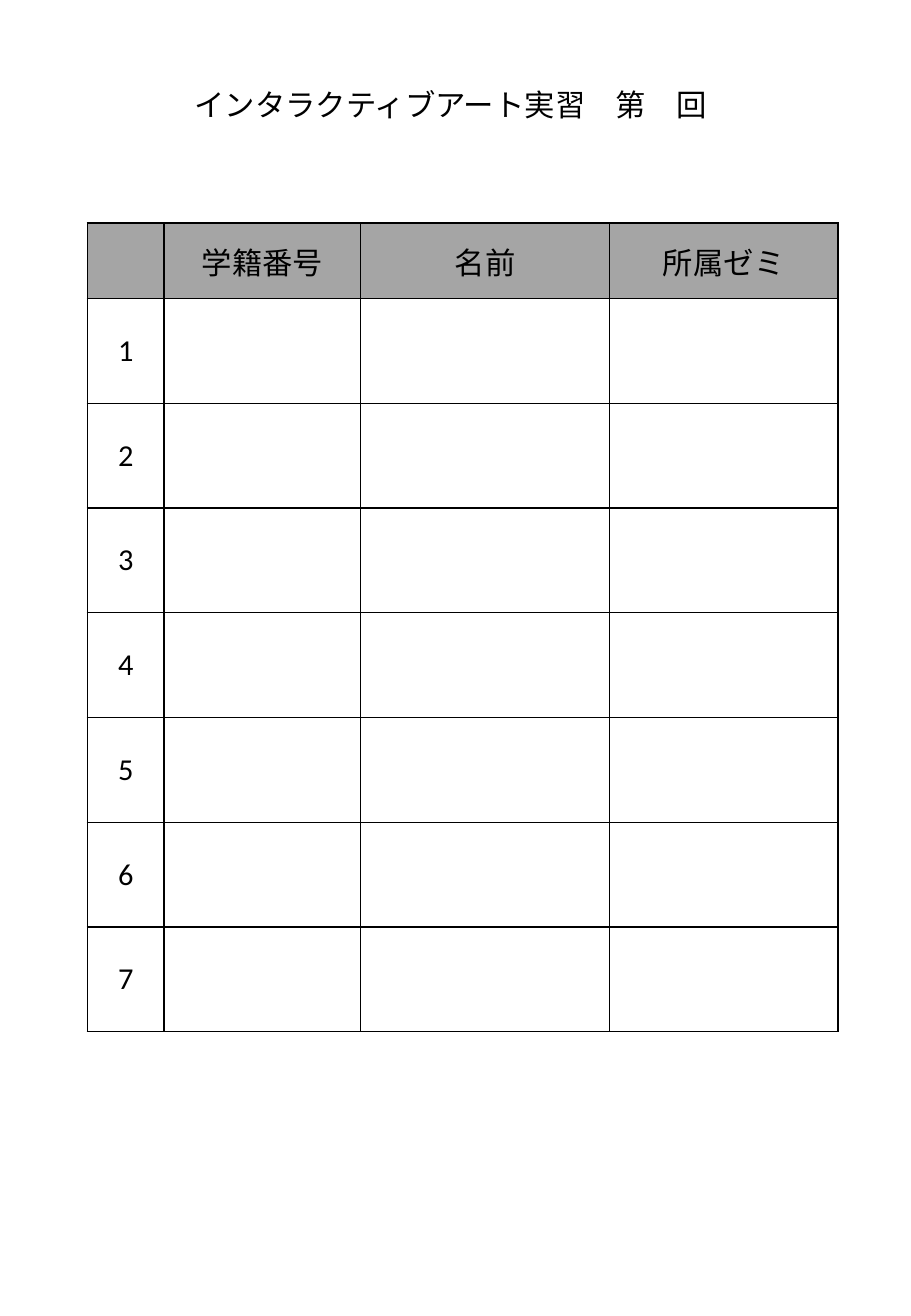
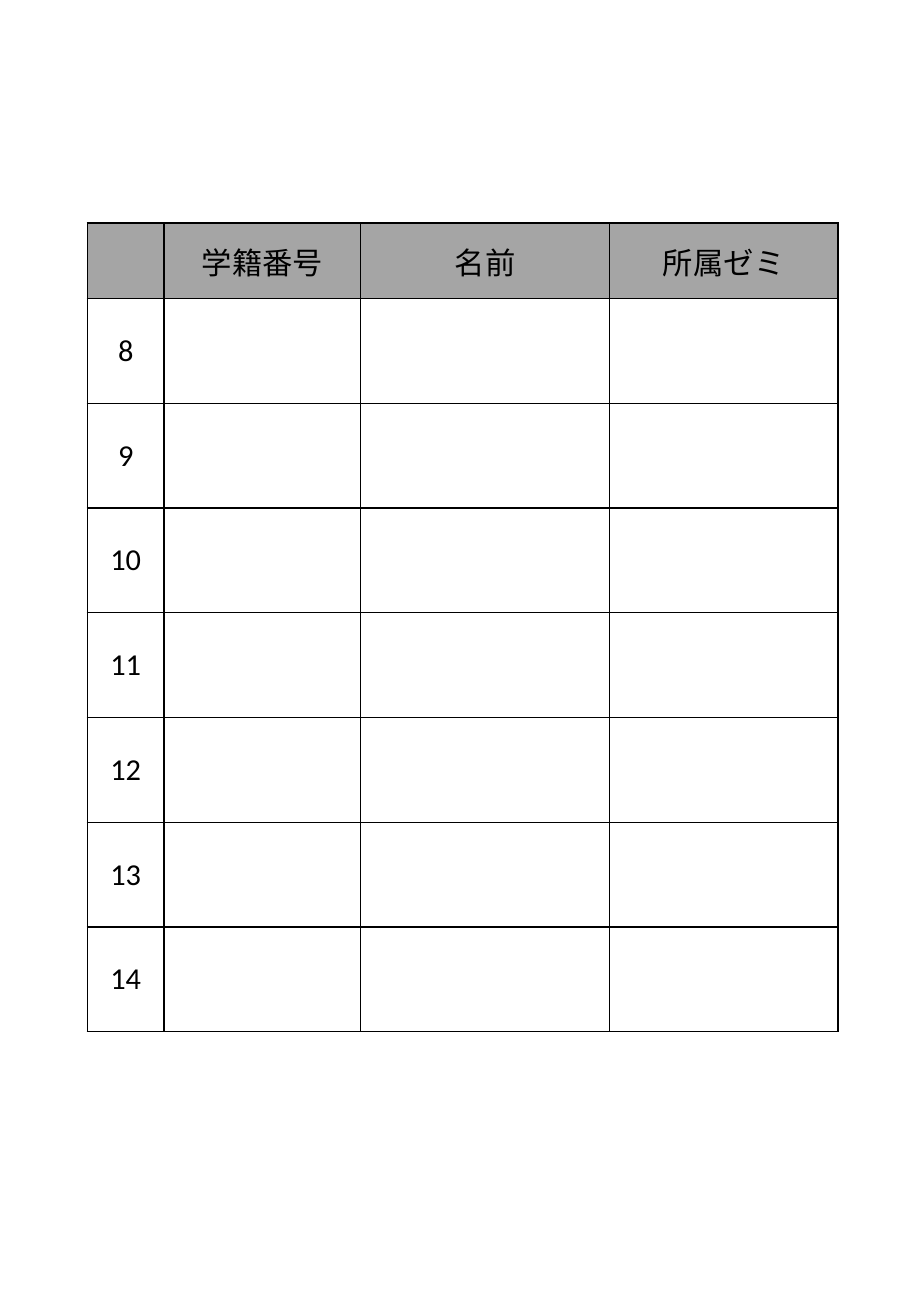
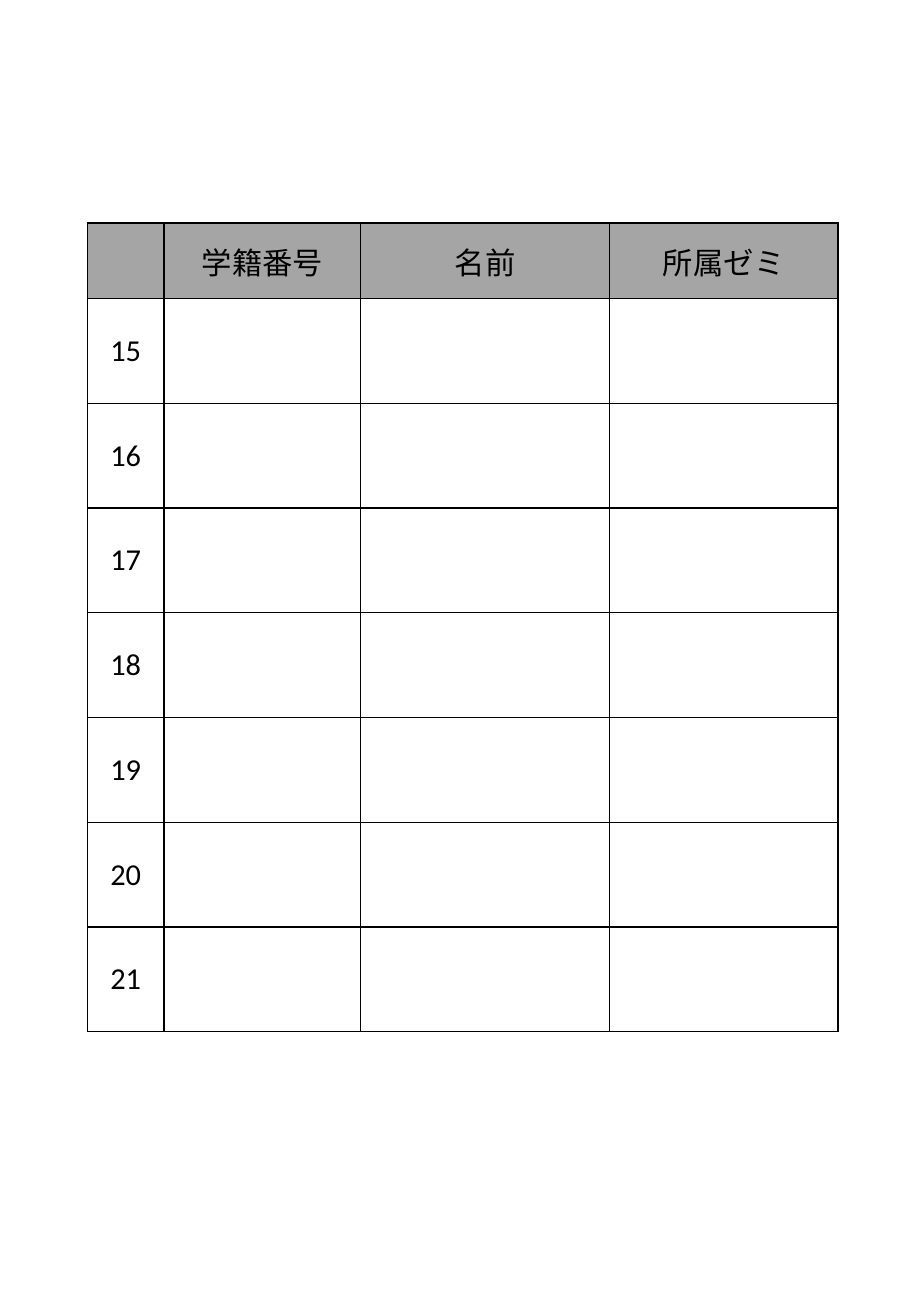
from lxml.etree import SubElement
from pptx import Presentation
from pptx.dml.color import RGBColor
from pptx.enum.text import MSO_ANCHOR as Anchor, MSO_AUTO_SIZE as AutoSize, PP_ALIGN as Align
from pptx.oxml.ns import qn
from pptx.util import Pt

BLACK = RGBColor(0x00, 0x00, 0x00)
WHITE = RGBColor(0xFF, 0xFF, 0xFF)
HEADER_GRAY = RGBColor(0xA5, 0xA5, 0xA5)
FONT = "Calibri"
TEXT_SIZE = Pt(18)
BORDER_WIDTH = Pt(1)

HEADINGS = ["", "学籍番号", "名前", "所属ゼミ"]
COLUMN_WIDTHS = [45.5, 116.5, 147.5, 135.5]
HEADER_HEIGHT = 44.7
ENTRY_HEIGHT = 62.1
ENTRIES_PER_PAGE = 7
PAGES = 3


def add_text(paragraph, text, align):
    paragraph.alignment = align
    run = paragraph.add_run()
    run.text = text
    run.font.name = FONT
    run.font.size = TEXT_SIZE
    run.font.color.rgb = BLACK


def style_cell(cell, fill_color):
    properties = cell._tc.get_or_add_tcPr()
    for side in ("a:lnL", "a:lnR", "a:lnT", "a:lnB"):
        border = SubElement(properties, qn(side), w=str(BORDER_WIDTH))
        SubElement(SubElement(border, qn("a:solidFill")), qn("a:srgbClr"), val=str(BLACK))
    cell.fill.solid()
    cell.fill.fore_color.rgb = fill_color
    cell.vertical_anchor = Anchor.MIDDLE


prs = Presentation()
prs.slide_width, prs.slide_height = Pt(540), Pt(780)
title_only, blank = prs.slide_layouts[5], prs.slide_layouts[6]

for page in range(PAGES):
    slide = prs.slides.add_slide(blank if page else title_only)
    first = page * ENTRIES_PER_PAGE + 1
    rows = [HEADINGS] + [[str(number), "", "", ""] for number in range(first, first + ENTRIES_PER_PAGE)]
    heights = [HEADER_HEIGHT] + [ENTRY_HEIGHT] * ENTRIES_PER_PAGE

    roster = slide.shapes.add_table(
        len(rows), len(HEADINGS), Pt(51.8), Pt(132.3), Pt(sum(COLUMN_WIDTHS)), Pt(sum(heights))
    ).table
    roster.first_row = False
    roster.horz_banding = False
    for column, width in zip(roster.columns, COLUMN_WIDTHS):
        column.width = Pt(width)
    for row_index, (texts, height) in enumerate(zip(rows, heights)):
        roster.rows[row_index].height = Pt(height)
        for column_index, text in enumerate(texts):
            cell = roster.cell(row_index, column_index)
            style_cell(cell, WHITE if row_index else HEADER_GRAY)
            if text:
                add_text(cell.text_frame.paragraphs[0], text, Align.CENTER)

    if slide.shapes.title is not None:
        title = slide.shapes.title
        title.left, title.top, title.width, title.height = Pt(108), Pt(47.5), Pt(323.3), Pt(29)
        title.text_frame.word_wrap = False
        title.text_frame.auto_size = AutoSize.SHAPE_TO_FIT_TEXT
        title.text_frame.vertical_anchor = Anchor.TOP
        add_text(title.text_frame.paragraphs[0], "インタラクティブアート実習　第　回", Align.LEFT)

prs.save("out.pptx")
